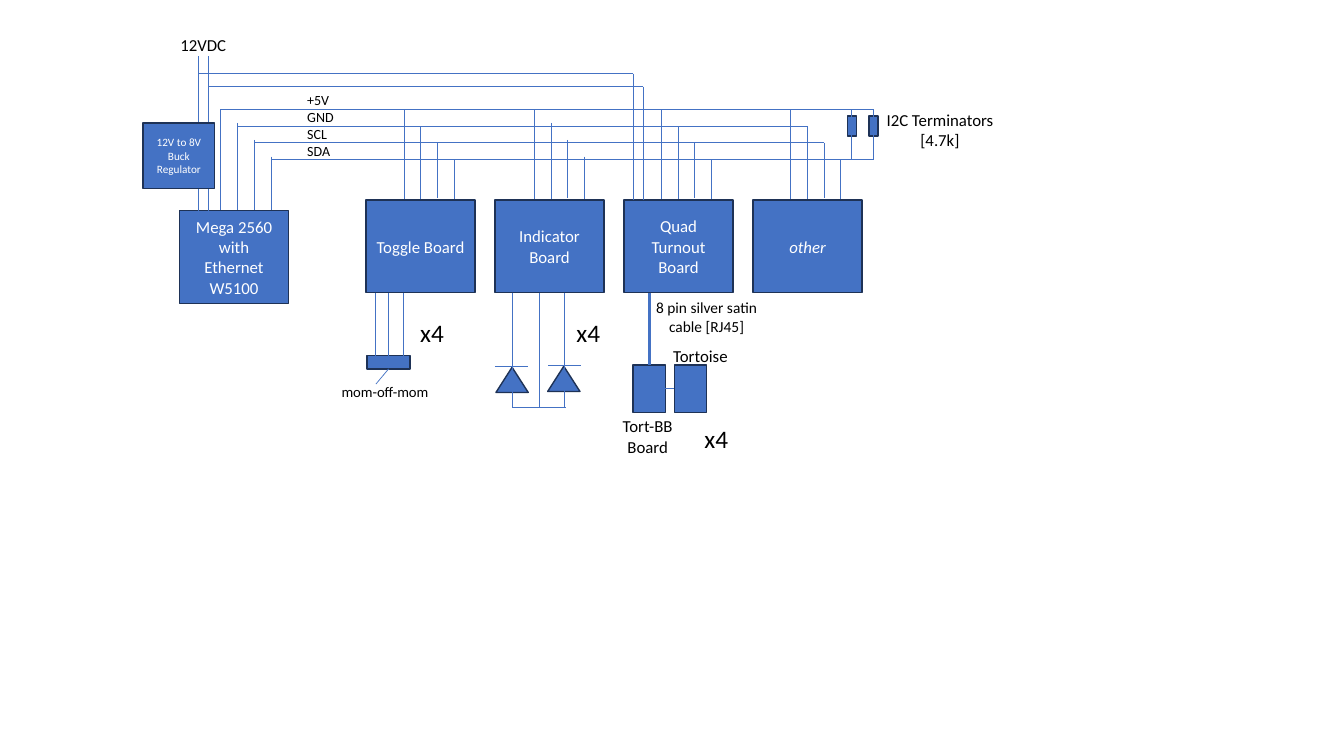
import pptx
import pptx.util
import pptx.dml.color
import pptx.enum.shapes
import pptx.enum.text
import pptx.oxml

COLS, ROWS = 80, 45
SLIDE_W, SLIDE_H = pptx.util.Inches(13.33), pptx.util.Inches(7.5)
BLUE, NAVY, WHITE, BLACK = "4472C4", "1E3256", "FFFFFF", "000000"
SHAPE = pptx.enum.shapes.MSO_SHAPE
TOP, LEFT, BOTTOM, RIGHT = range(4)

RAIL_TOP, RAIL_LABELS = 6.5, ("+5V", "GND", "SCL", "SDA")
BOARD_LEFT, BOARD_STEP, BOARD_TOP = 21.78, 7.68, 11.9
BOARD_W, BOARD_H = 6.5, 5.52
BOARD_FOOT = BOARD_TOP + BOARD_H
MEGA_TOP = 12.54


def col(n):
    return round(n * SLIDE_W / COLS)


def row(n):
    return round(n * SLIDE_H / ROWS)


def rgb(code):
    return pptx.dml.color.RGBColor.from_string(code)


def write(tf, text, size=12, color=BLACK, italic=False, center=False, wrap=True):
    tf.word_wrap = wrap
    for i, words in enumerate(text.split("\n")):
        p = tf.add_paragraph() if i else tf.paragraphs[0]
        p.alignment = pptx.enum.text.PP_ALIGN.CENTER if center else pptx.enum.text.PP_ALIGN.LEFT
        r = p.add_run()
        r.text = words
        r.font.name = "Calibri"
        r.font.size = pptx.util.Pt(size)
        r.font.italic = italic
        r.font.color.rgb = rgb(color)


def box(s, x, y, w, h, text="", kind=SHAPE.RECTANGLE, **style):
    sp = s.shapes.add_shape(kind, col(x), row(y), col(w), row(h))
    sp.shadow.inherit = False
    sp.fill.solid()
    sp.fill.fore_color.rgb = rgb(BLUE)
    sp.line.color.rgb = rgb(NAVY)
    sp.line.width = pptx.util.Pt(1)
    if text:
        sp.text_frame.vertical_anchor = pptx.enum.text.MSO_ANCHOR.MIDDLE
        write(sp.text_frame, text, color=WHITE, center=True, **style)
    return sp


def label(s, x, y, w, h, text, **style):
    tf = s.shapes.add_textbox(col(x), row(y), col(w), row(h)).text_frame
    write(tf, text, **style)
    tf.auto_size = pptx.enum.text.MSO_AUTO_SIZE.SHAPE_TO_FIT_TEXT


def wire(s, x1, y1, x2, y2, width=0.5, begin=None, end=None):
    c = s.shapes.add_connector(pptx.enum.shapes.MSO_CONNECTOR.STRAIGHT,
                               col(x1), row(y1), col(x2), row(y2))
    c.line.color.rgb = rgb(BLUE)
    c.line.width = pptx.util.Pt(width)
    c._element.spPr.append(pptx.oxml.parse_xml(
        '<a:effectLst xmlns:a="http://schemas.openxmlformats.org/drawingml/2006/main"/>'))
    if begin:
        c.begin_connect(*begin)
    if end:
        c.end_connect(*end)


def bus(s):
    taps = ((24.05, 0), (31.8, 0.18), (39.36, 0), (47.05, 0))
    for i, end in enumerate((51.96, 48.05, 49.05, 51.96)):
        y = RAIL_TOP + i
        rise = 0.18 if i else 0
        foot = 11.76 if i == 2 else BOARD_TOP
        wire(s, 13.14 + i, y, end, y)
        wire(s, 13.14 + i, y - rise, 13.14 + i, MEGA_TOP)
        for x, lift in taps:
            wire(s, x + i, y - (lift if i else 0), x + i, foot)
    label(s, 17.7, 5.16, 2.82, 4.62, "\n".join(RAIL_LABELS), size=10, wrap=False)


def boards(s):
    names = ("Toggle Board", "Indicator Board", "Quad Turnout Board", "other")
    for j, name in enumerate(names):
        box(s, BOARD_LEFT + j * BOARD_STEP, BOARD_TOP, BOARD_W, BOARD_H, name,
            italic=name == "other")
    box(s, 10.68, MEGA_TOP, BOARD_W, BOARD_H, "Mega 2560 with Ethernet W5100")


def terminators(s):
    for x, lead in ((50.46, 50.7), (51.72, 51.96)):
        box(s, x, 6.9, 0.54, 1.2)
        wire(s, lead, RAIL_TOP, lead, RAIL_TOP + 3)
    label(s, 52.14, 6.24, 7.62, 3, "I2C Terminators [4.7k]", center=True)


def toggle_switch(s):
    switch = box(s, 21.84, 21.18, 2.58, 0.78)
    for x in (22.32, 24):
        wire(s, x, BOARD_FOOT, x, 21.18)
    wire(s, 23.13, BOARD_FOOT, 23.13, 21.18, end=(switch, TOP))
    wire(s, 23.13, 21.96, 22.38, 22.86, begin=(switch, BOTTOM))
    label(s, 19.74, 22.5, 6.72, 1.74, "mom-off-mom", size=10.5, wrap=False)


def indicator_leds(s):
    foot = 24.24
    for x, y, lead, bar in ((29.52, 21.86, 30.48, 29.46), (32.6, 21.8, 33.6, 32.64)):
        box(s, x, y, 1.92, 1.5, kind=SHAPE.ISOSCELES_TRIANGLE)
        wire(s, lead, BOARD_FOOT, lead, foot)
        wire(s, bar, y - 0.04, bar + 1.95, y - 0.04)
    wire(s, 32.1, BOARD_FOOT, 32.1, foot)
    wire(s, 30.48, foot, 33.72, foot)


def turnout_motor(s):
    adapter, motor = (box(s, x, 21.72, 1.92, 2.82) for x in (37.68, 40.14))
    wire(s, 38.64, BOARD_FOOT, 38.64, 21.72, width=2.25, end=(adapter, TOP))
    wire(s, 39.6, 23.13, 40.14, 23.13, begin=(adapter, RIGHT), end=(motor, LEFT))
    label(s, 39.48, 20.28, 4.5, 1.8, "Tortoise", wrap=False)
    label(s, 36.3, 24.48, 4.5, 3, "Tort-BB Board", center=True)
    label(s, 38.28, 17.46, 7.56, 2.82, "8 pin silver satin cable [RJ45]",
          size=11, center=True)


def power(s):
    for x, y, end in ((11.82, 4.38, 37.68), (12.42, 5.16, 38.28)):
        wire(s, x, 3.36, x, MEGA_TOP)
        wire(s, x, y, end, y)
        wire(s, end, y, end, BOARD_TOP)
    label(s, 10.14, 1.8, 3.96, 1.8, "12VDC", wrap=False)
    box(s, 8.52, 7.32, 4.26, 3.9, "12V to 8V Buck Regulator", size=8)


def main():
    prs = pptx.Presentation()
    prs.slide_width, prs.slide_height = SLIDE_W, SLIDE_H
    s = prs.slides.add_slide(prs.slide_layouts[6])
    bus(s)
    boards(s)
    terminators(s)
    toggle_switch(s)
    indicator_leds(s)
    turnout_motor(s)
    for x, y in ((24.42, 18.6), (33.72, 18.6), (41.34, 24.9)):
        label(s, x, y, 2.64, 2.4, "x4", size=18, wrap=False)
    power(s)
    prs.save("out.pptx")


if __name__ == "__main__":
    main()
